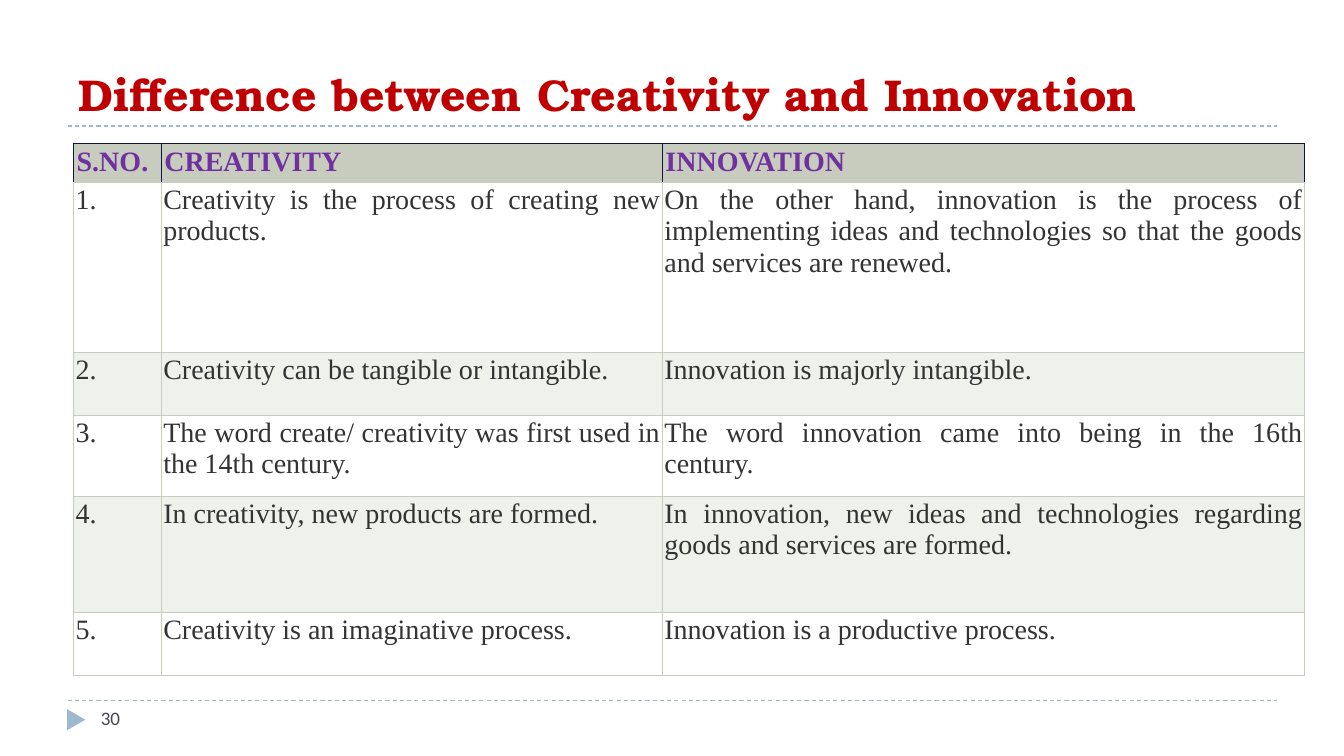
from lxml import etree
from pptx import Presentation
from pptx.dml.color import RGBColor
from pptx.enum.dml import MSO_LINE
from pptx.enum.shapes import MSO_CONNECTOR, MSO_SHAPE
from pptx.enum.text import MSO_ANCHOR, PP_ALIGN
from pptx.oxml.ns import qn
from pptx.util import Pt

PX = 9144
STRAIGHT = MSO_CONNECTOR.STRAIGHT
TRIANGLE = MSO_SHAPE.ISOSCELES_TRIANGLE
DASH = MSO_LINE.DASH
TOP, BOTTOM = MSO_ANCHOR.TOP, MSO_ANCHOR.BOTTOM
LEFT, JUSTIFY = PP_ALIGN.LEFT, PP_ALIGN.JUSTIFY

RED = RGBColor(0xC0, 0x00, 0x00)
BLUE = RGBColor(0x9F, 0xB8, 0xCD)
SLATE = RGBColor(0x46, 0x46, 0x53)
PURPLE = RGBColor(0x70, 0x30, 0xA0)
CHARCOAL = RGBColor(0x33, 0x33, 0x33)
NAVY = RGBColor(0x10, 0x12, 0x4D)
SAGE = RGBColor(0xC7, 0xCC, 0xBE)
PALE = RGBColor(0xEF, 0xF1, 0xEB)
WHITE = RGBColor(0xFF, 0xFF, 0xFF)

HEADINGS = ["S.NO.", "CREATIVITY", "INNOVATION"]
DIFFERENCES = [
    ("Creativity is the process of creating new products.",
     "On the other hand, innovation is the process of implementing ideas and "
     "technologies so that the goods and services are renewed."),
    ("Creativity can be tangible or intangible.",
     "Innovation is majorly intangible."),
    ("The word create/ creativity was first used in the 14th century.",
     "The word innovation came into being in the 16th century."),
    ("In creativity, new products are formed.",
     "In innovation, new ideas and technologies regarding goods and services "
     "are formed."),
    ("Creativity is an imaginative process.",
     "Innovation is a productive process."),
]
COLUMN_WIDTHS = [87, 497, 637]
ROW_HEIGHTS = [34, 168, 63, 80, 115, 63]


class SlideBuilder:
    """Draws styled elements on one slide, with lengths in px."""

    def __init__(self, page):
        self.page = page
        self.title_font = "TeX Gyre Bonum"
        self.table_font = "Times New Roman"
        self.number_font = "Calibri"
        self.line_width = Pt(0.75)

    def rule(self, left, top, right):
        """Draw a dashed horizontal rule."""
        line = self.page.shapes.add_connector(
            STRAIGHT, left * PX, top * PX, right * PX, top * PX)
        line.line.color.rgb = BLUE
        line.line.width = self.line_width
        line.line.dash_style = DASH
        etree.SubElement(line._element.spPr, qn("a:effectLst"))

    def marker(self, left, top, width, height):
        """Draw a triangle that points right."""
        shape = self.page.shapes.add_shape(
            TRIANGLE, left * PX, top * PX, width * PX, height * PX)
        shape.rotation = 90
        shape.shadow.inherit = False
        shape.fill.solid()
        shape.fill.fore_color.rgb = BLUE
        shape.line.fill.background()

    def add_span(self, para, text, font, size, color, bold=False):
        """Add one styled run to a paragraph."""
        span = para.add_run()
        span.text = text
        span.font.name = font
        span.font.size = Pt(size)
        span.font.bold = bold
        span.font.color.rgb = color

    def text(self, left, top, width, height, text, font, size, color,
             bold=False, anchor=TOP):
        """Add a text box with one line."""
        box = self.page.shapes.add_textbox(
            left * PX, top * PX, width * PX, height * PX)
        frame = box.text_frame
        frame.word_wrap = True
        frame.vertical_anchor = anchor
        frame.margin_left = frame.margin_right = 11 * PX
        frame.margin_top = frame.margin_bottom = 6 * PX
        self.add_span(frame.paragraphs[0], text, font, size, color, bold)

    def border(self, cell, side, color):
        """Draw one side of a cell."""
        edge = etree.SubElement(cell._tc.get_or_add_tcPr(), qn(f"a:ln{side}"),
                                w=str(int(self.line_width)))
        fill = etree.SubElement(edge, qn("a:solidFill"))
        etree.SubElement(fill, qn("a:srgbClr"), val=str(color))

    def cell(self, cell, text, fill, heading):
        """Fill, frame and label one table cell."""
        inset = 3 if heading else 2
        cell.margin_left = cell.margin_right = inset * PX
        cell.margin_top = cell.margin_bottom = inset * PX
        for side in "LRTB":
            self.border(cell, side, NAVY if heading and side != "B" else SAGE)
        cell.fill.solid()
        cell.fill.fore_color.rgb = fill
        para = cell.text_frame.paragraphs[0]
        para.alignment = LEFT if heading else JUSTIFY
        self.add_span(para, text, self.table_font, 20,
                      PURPLE if heading else CHARCOAL, heading)

    def table(self, left, top, widths, heights, rows):
        """Add a table with a heading row and alternating row fills."""
        table = self.page.shapes.add_table(
            len(rows), len(widths), left * PX, top * PX,
            sum(widths) * PX, sum(heights) * PX).table
        for column, width in zip(table.columns, widths):
            column.width = width * PX
        for index, (height, texts) in enumerate(zip(heights, rows)):
            table.rows[index].height = height * PX
            heading = index == 0
            fill = SAGE if heading else (PALE, WHITE)[index % 2]
            for column, text in enumerate(texts):
                self.cell(table.cell(index, column), text, fill, heading)


def main():
    deck = Presentation()
    deck.slide_width, deck.slide_height = 1333 * PX, 750 * PX
    builder = SlideBuilder(deck.slides.add_slide(deck.slide_layouts[6]))
    for top in (695, 125):
        builder.rule(67, top, 1267)
    builder.marker(65, 705, 21, 18)
    builder.text(67, 25, 1200, 100,
                 "Difference between Creativity and Innovation",
                 builder.title_font, 31.8, RED, bold=True, anchor=BOTTOM)
    builder.text(89, 695, 289, 40, "30", builder.number_font, 13.6, SLATE)
    rows = [HEADINGS] + [(f"{number}.", *pair)
                         for number, pair in enumerate(DIFFERENCES, 1)]
    builder.table(73, 142, COLUMN_WIDTHS, ROW_HEIGHTS, rows)
    deck.save("out.pptx")


if __name__ == "__main__":
    main()
